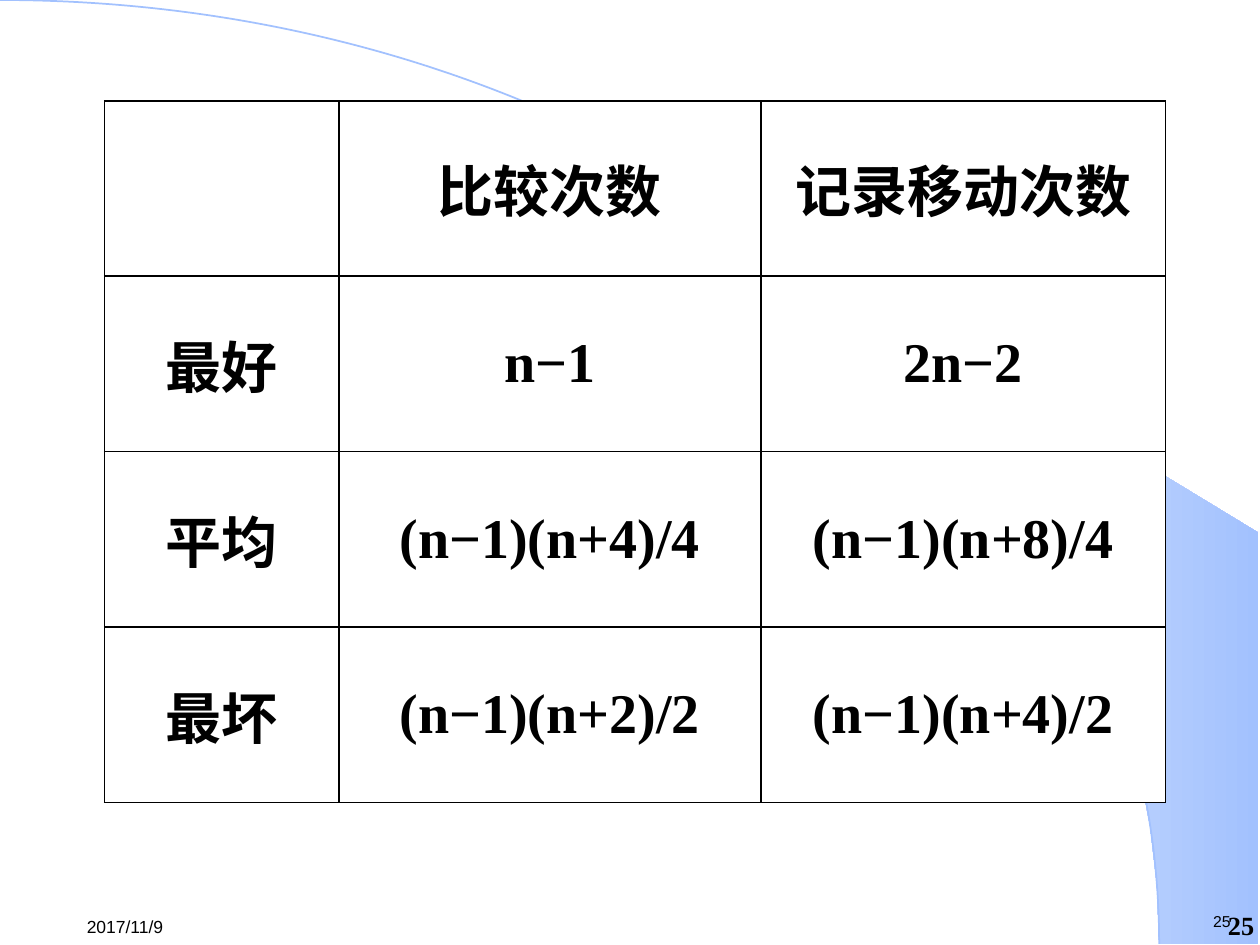
from math import asin, cos, pi, sin

from lxml import etree
from pptx import Presentation
from pptx.dml.color import RGBColor
from pptx.enum.text import MSO_ANCHOR, PP_ALIGN
from pptx.oxml.ns import qn
from pptx.util import Inches, Pt

CENTER = PP_ALIGN.CENTER
LEFT = PP_ALIGN.LEFT
TOP = MSO_ANCHOR.TOP
MIDDLE = MSO_ANCHOR.MIDDLE

COLORS = {"paper": "FFFFFF", "ink": "000000", "blue": "A2C1FE"}
SANS, SERIF = "Arial", "Times New Roman"

COMPLEXITY = [
    ["", "比较次数", "记录移动次数"],
    ["最好", "n−1", "2n−2"],
    ["平均", "(n−1)(n+4)/4", "(n−1)(n+8)/4"],
    ["最坏", "(n−1)(n+2)/2", "(n−1)(n+4)/2"],
]
COLUMN_WIDTHS = [1.86, 3.35, 3.21]
TABLE_LEFT, TABLE_TOP, TABLE_HEIGHT = 0.83, 0.8, 5.57

FOOTERS = [
    ("25", (9.53, 7.19, 0.35, 0.25), SANS, 9, False, LEFT, TOP, (0.1, 0.05), None),
    ("2017/11/9", (0.59, 7.2, 1.02, 0.3), SANS, 10, False, LEFT, MIDDLE, (0.1, 0.05), None),
    ("25", (9.7, 7.26, 0.3, 0.24), SERIF, 15, True, CENTER, TOP, (0, 0), 15),
]

ARC_WIDTH, ARC_HEIGHT = 9.2, 7.49
ARC_CONTROLS = [(5.08, 0), (ARC_WIDTH, 3.35), (ARC_WIDTH, ARC_HEIGHT)]
WEDGE_START, WEDGE_RIGHT, WEDGE_TOP = 5.89, 9.99, 4.23
WEDGE_STEPS = 14


def color(name):
    return RGBColor.from_string(COLORS[name])


def style(paragraph, font_name, size, bold, align):
    paragraph.alignment = align
    font = paragraph.font
    font.name, font.size, font.bold = font_name, Pt(size), bold
    font.color.rgb = color("ink")


def add_outline(slide, points, close):
    start, *rest = [(Inches(x), Inches(y)) for x, y in points]
    builder = slide.shapes.build_freeform(*start)
    builder.add_line_segments(rest, close=close)
    outline = builder.convert_to_shape()
    outline.shadow.inherit = False
    return outline


def add_wedge(slide):
    first = asin(WEDGE_START / ARC_WIDTH)
    angles = [first + (pi / 2 - first) * i / WEDGE_STEPS for i in range(WEDGE_STEPS + 1)]
    curve = [(ARC_WIDTH * sin(a), ARC_HEIGHT * (1 - cos(a))) for a in angles]
    edge = [(WEDGE_RIGHT, ARC_HEIGHT), (WEDGE_RIGHT, WEDGE_TOP)]
    wedge = add_outline(slide, curve + edge, True)
    wedge.line.fill.background()
    wedge.fill.gradient()
    wedge.fill.gradient_angle = 0
    for stop, name, position in zip(wedge.fill.gradient_stops, ("paper", "blue"), (0, 1)):
        stop.color.rgb = color(name)
        stop.position = position


def add_arc(slide):
    arc = add_outline(slide, [(0, 0), (ARC_WIDTH, ARC_HEIGHT)], False)
    arc.fill.background()
    arc.line.color.rgb = color("blue")
    arc.line.width = Pt(1)
    straight = next(arc._element.iter(qn("a:lnTo")))
    curve = etree.Element(qn("a:cubicBezTo"))
    for x, y in ARC_CONTROLS:
        etree.SubElement(curve, qn("a:pt"), x=str(Inches(x)), y=str(Inches(y)))
    straight.getparent().replace(straight, curve)


def add_borders(cell):
    properties = cell._tc.get_or_add_tcPr()
    for index, side in enumerate(("a:lnL", "a:lnR", "a:lnT", "a:lnB")):
        border = etree.Element(qn(side), w=str(Pt(1)))
        fill = etree.SubElement(border, qn("a:solidFill"))
        etree.SubElement(fill, qn("a:srgbClr"), val=COLORS["ink"])
        properties.insert(index, border)


def add_complexity_table(slide):
    row_count, column_count = len(COMPLEXITY), len(COLUMN_WIDTHS)
    table = slide.shapes.add_table(
        row_count, column_count, Inches(TABLE_LEFT), Inches(TABLE_TOP),
        Inches(sum(COLUMN_WIDTHS)), Inches(TABLE_HEIGHT)).table
    for column, width in zip(table.columns, COLUMN_WIDTHS):
        column.width = Inches(width)
    for row, labels in zip(table.rows, COMPLEXITY):
        row.height = Inches(TABLE_HEIGHT / row_count)
        for cell, label in zip(row.cells, labels):
            cell.fill.solid()
            cell.fill.fore_color.rgb = color("paper")
            cell.vertical_anchor = MIDDLE
            cell.margin_left = cell.margin_right = Inches(0.07)
            cell.margin_top = cell.margin_bottom = 0
            add_borders(cell)
            if label:
                cell.text = label
                style(cell.text_frame.paragraphs[0], SERIF, 32, True, CENTER)


def add_footer(slide, text, box, font_name, size, bold, align, anchor, margins, spacing):
    frame = slide.shapes.add_textbox(*map(Inches, box)).text_frame
    frame.word_wrap = spacing is not None
    frame.vertical_anchor = anchor
    frame.margin_left = frame.margin_right = Inches(margins[0])
    frame.margin_top = frame.margin_bottom = Inches(margins[1])
    frame.text = text
    paragraph = frame.paragraphs[0]
    style(paragraph, font_name, size, bold, align)
    if spacing:
        paragraph.line_spacing = Pt(spacing)


def main():
    deck = Presentation()
    deck.slide_width, deck.slide_height = Inches(10), Inches(7.5)
    slide = deck.slides.add_slide(deck.slide_layouts[6])
    add_wedge(slide)
    add_arc(slide)
    add_complexity_table(slide)
    for footer in FOOTERS:
        add_footer(slide, *footer)
    deck.save("out.pptx")


if __name__ == "__main__":
    main()
